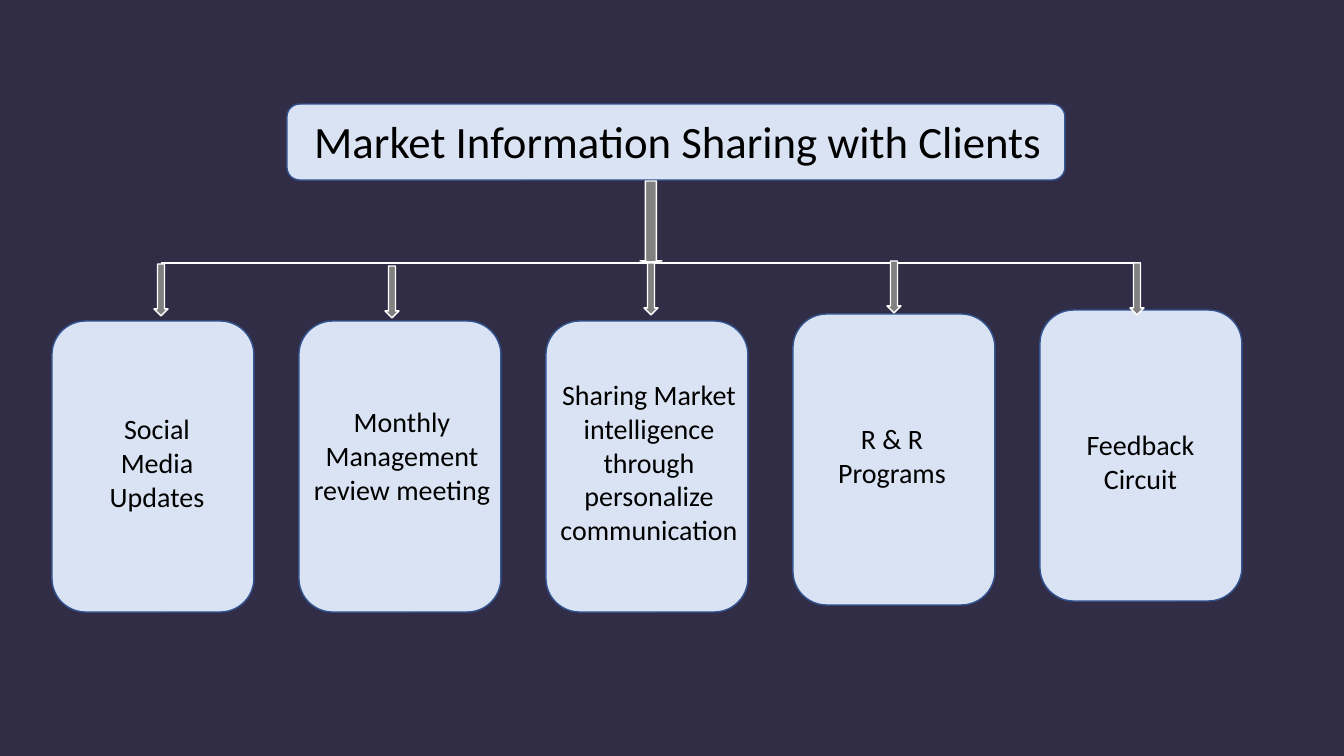
from lxml import etree
from pptx import Presentation
from pptx.dml.color import RGBColor
from pptx.enum.shapes import MSO_CONNECTOR, MSO_SHAPE
from pptx.enum.text import MSO_AUTO_SIZE, PP_ALIGN
from pptx.oxml.ns import qn
from pptx.util import Pt

ROUNDED = MSO_SHAPE.ROUNDED_RECTANGLE
DOWN_ARROW = MSO_SHAPE.DOWN_ARROW
STRAIGHT = MSO_CONNECTOR.STRAIGHT
GROW = MSO_AUTO_SIZE.SHAPE_TO_FIT_TEXT
CENTER = PP_ALIGN.CENTER

HEADING = "Market Information Sharing with Clients"
CHANNELS = [
    {"label": "Social Media Updates", "card_top": 321,
     "label_box": (85, 407, 144, 112), "arrow": (161, 264)},
    {"label": "Monthly Management review meeting", "card_top": 321,
     "label_box": (299, 400, 206, 112), "arrow": (392, 266)},
    {"label": "Sharing Market intelligence through personalize communication",
     "card_top": 321, "label_box": (546, 373, 206, 179), "arrow": (651, 263)},
    {"label": "R & R Programs", "card_top": 314,
     "label_box": (815, 417, 154, 78), "arrow": (894, 261)},
    {"label": "Feedback Circuit", "card_top": 310,
     "label_box": (1062, 423, 157, 78), "arrow": (1137, 263)},
]

THEME = {
    "background": "322D47", "card": "DAE3F3", "card_line": "325491",
    "arrow": "808080", "white": "FFFFFF", "text": "000000",
    "font": "Calibri", "heading_size": 32, "label_size": 20,
    "outline": 1, "branch_line": 1.5,
}

SLIDE_W, SLIDE_H = 1344, 756
EMU_PER_PX = 12192000 / SLIDE_W
CARD_LEFT, CARD_STEP, CARD_W, CARD_H = 52, 247, 202, 291
ARROW_W, ARROW_H = 14, 52
HEADING_CARD = (287, 104, 778, 76)
HEADING_BOX = (297, 109, 762, 65)
STEM = (640, 181, 22, 81)
BRANCH = (161, 263, 1141, 263)


def emu(*lengths):
    return [round(length * EMU_PER_PX) for length in lengths]


def color(name):
    return RGBColor.from_string(THEME[name])


def add_block(slide, kind, box, fill, line):
    block = slide.shapes.add_shape(kind, *emu(*box))
    block.shadow.inherit = False
    block.fill.solid()
    block.fill.fore_color.rgb = color(fill)
    block.line.color.rgb = color(line)
    block.line.width = Pt(THEME["outline"])
    return block


def add_label(slide, text, box, size):
    frame = slide.shapes.add_textbox(*emu(*box)).text_frame
    frame.word_wrap = True
    frame.auto_size = GROW
    paragraph = frame.paragraphs[0]
    paragraph.alignment = CENTER
    run = paragraph.add_run()
    run.text = text
    for attribute, value in {"name": THEME["font"], "size": Pt(THEME[size])}.items():
        setattr(run.font, attribute, value)
    run.font.color.rgb = color("text")


def add_branch(slide):
    branch = slide.shapes.add_connector(STRAIGHT, *emu(*BRANCH))
    branch.line.color.rgb = color("white")
    branch.line.width = Pt(THEME["branch_line"])
    etree.SubElement(branch._element.spPr, qn("a:effectLst"))


def main():
    deck = Presentation()
    deck.slide_width, deck.slide_height = emu(SLIDE_W, SLIDE_H)
    slide = deck.slides.add_slide(deck.slide_layouts[6])
    slide.background.fill.solid()
    slide.background.fill.fore_color.rgb = color("background")

    add_block(slide, ROUNDED, HEADING_CARD, "card", "card_line")
    add_label(slide, HEADING, HEADING_BOX, "heading_size")

    for index, channel in enumerate(CHANNELS):
        card = (CARD_LEFT + index * CARD_STEP, channel["card_top"], CARD_W, CARD_H)
        add_block(slide, ROUNDED, card, "card", "card_line")
        add_label(slide, channel["label"], channel["label_box"], "label_size")

    add_branch(slide)
    for channel in CHANNELS:
        center, top = channel["arrow"]
        arrow = (center - ARROW_W / 2, top, ARROW_W, ARROW_H)
        add_block(slide, DOWN_ARROW, arrow, "arrow", "white")

    stem = add_block(slide, DOWN_ARROW, STEM, "arrow", "white")
    stem.adjustments[1] = 0.05

    deck.save("out.pptx")


if __name__ == "__main__":
    main()
